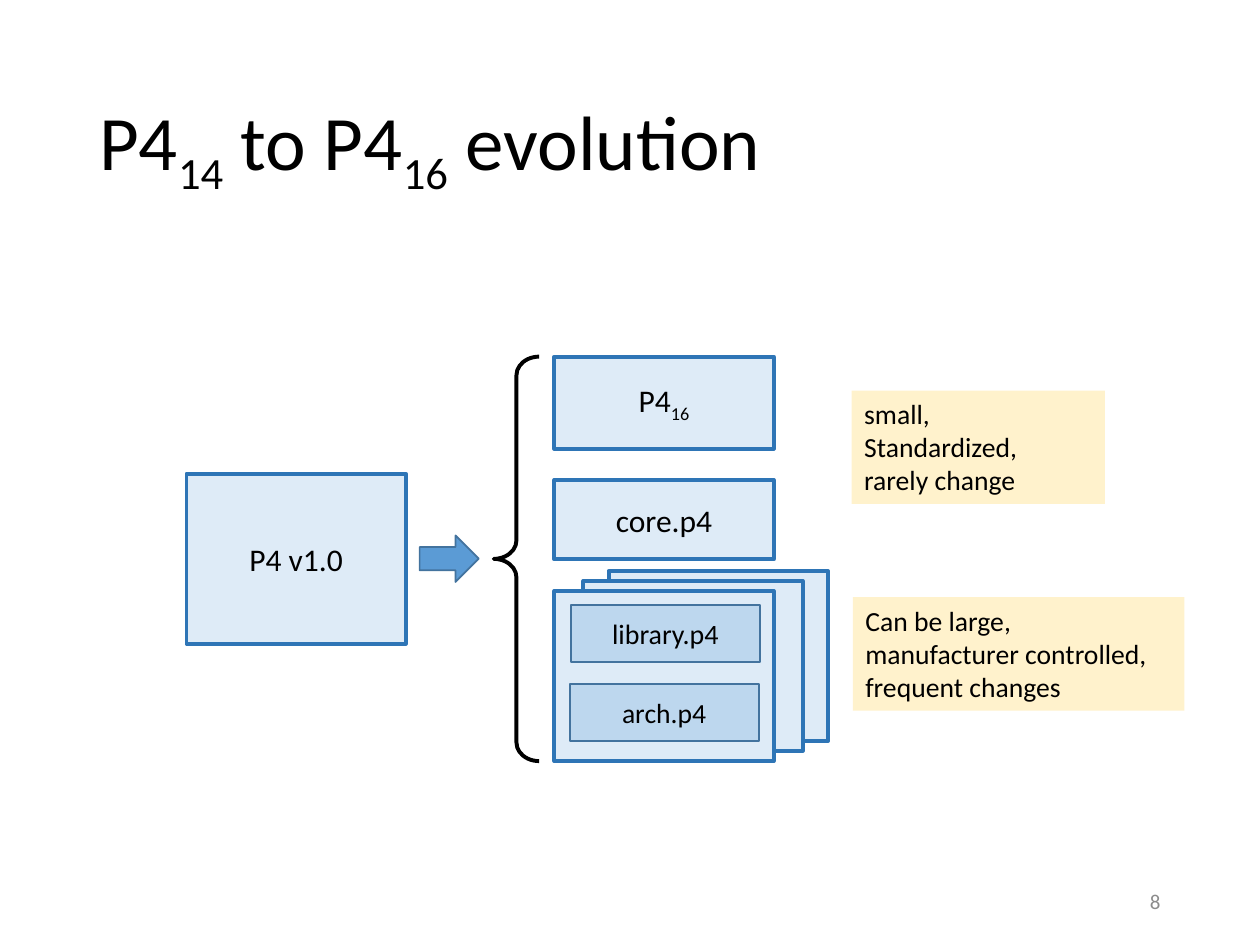
from pptx import Presentation
from pptx.dml.color import RGBColor
from pptx.enum.shapes import MSO_SHAPE as Preset
from pptx.enum.text import MSO_ANCHOR as Anchor, PP_ALIGN as Align
from pptx.util import Pt

PALE, MID, STRONG = "DEEBF7", "BDD7EE", "5B9BD5"
EDGE, THIN_EDGE = ("2E75B6", 2.25), ("43739E", 1)
NOTE_FILL, BLACK, GREY = "FFF2CC", "000000", "8C8C8C"


def write(shape, text, size, align=Align.CENTER, anchor=Anchor.MIDDLE,
          color=BLACK, spacing=1.0):
    """Fill a shape with lines of text; parts between underscores are subscripts."""
    frame = shape.text_frame
    frame.word_wrap = True
    frame.vertical_anchor = anchor
    for row, line in enumerate(text.split("\n")):
        paragraph = frame.add_paragraph() if row else frame.paragraphs[0]
        paragraph.alignment = align
        paragraph.line_spacing = spacing
        for index, part in enumerate(line.split("_")):
            if not part:
                continue
            run = paragraph.add_run()
            run.text = part
            look = {"name": "Calibri", "size": Pt(size), "bold": False}
            for key, value in look.items():
                setattr(run.font, key, value)
            run.font.color.rgb = RGBColor.from_string(color)
            if index % 2:
                run.font._element.set("baseline", "-25000")


def draw(preset, box, fill=None, edge=None):
    """Add a preset shape at a box in points, with optional fill and edge."""
    shape = slide.shapes.add_shape(preset, *map(Pt, box))
    shape.shadow.inherit = False
    if fill:
        shape.fill.solid()
        shape.fill.fore_color.rgb = RGBColor.from_string(fill)
    else:
        shape.fill.background()
    if edge:
        shape.line.color.rgb = RGBColor.from_string(edge[0])
        shape.line.width = Pt(edge[1])
    else:
        shape.line.fill.background()
    return shape


deck = Presentation()
deck.slide_width, deck.slide_height = Pt(720), Pt(540)
slide = deck.slides.add_slide(deck.slide_layouts[5])

title = slide.shapes.title
title_box = {"left": 49.5, "top": 28.8, "width": 620.6, "height": 104.4}
for side, length in title_box.items():
    setattr(title, side, Pt(length))
write(title, "P4_14_ to P4_16_ evolution", 44, Align.LEFT, spacing=0.9)

# Stacked architecture cards, back to front
column, card_width, card_height = 316.8, 125.3, 97.2
for left, top in [(347.8, 326.2), (333.4, 331.9), (column, 337.7)]:
    draw(Preset.RECTANGLE, (left, top, card_width, card_height), PALE, EDGE)

# Labelled language and library boxes
labelled = [
    ("P4 v1.0", 18, (106.6, 270.7, card_width, card_height), PALE, EDGE),
    ("P4_16_", 18, (column, 203.8, card_width, 52.6), PALE, EDGE),
    ("core.p4", 18, (column, 274.3, card_width, 45.4), PALE, EDGE),
    ("library.p4", 16, (326.2, 345.6, 108, 32.6), MID, THIN_EDGE),
    ("arch.p4", 15.8, (325.6, 391, 108, 32.6), MID, THIN_EDGE),
]
for text, size, box, fill, edge in labelled:
    write(draw(Preset.RECTANGLE, box, fill, edge), text, size)

# Arrow and brace from the old version to the new parts
draw(Preset.RIGHT_ARROW, (239.8, 306, 33.8, 26.6), STRONG, THIN_EDGE)
brace = draw(Preset.LEFT_BRACE, (282.2, 203.8, 25.9, 231.1), edge=(BLACK, 2.25))
brace.adjustments[0] = 0.41

# Notes beside the parts
notes = [
    ("small,\nStandardized,\nrarely change", (486.7, 223.2, 144.7, 64.8)),
    ("Can be large,\nmanufacturer controlled,\nfrequent changes",
     (487.4, 341.3, 189.4, 64.8)),
]
for text, box in notes:
    write(draw(Preset.RECTANGLE, box, NOTE_FILL), text, 15.8, Align.LEFT, Anchor.TOP)

page_number = slide.shapes.add_textbox(Pt(514.1), Pt(500.4), Pt(156.2), Pt(28.8))
write(page_number, "8", 12, Align.RIGHT, color=GREY)

deck.save("out.pptx")
